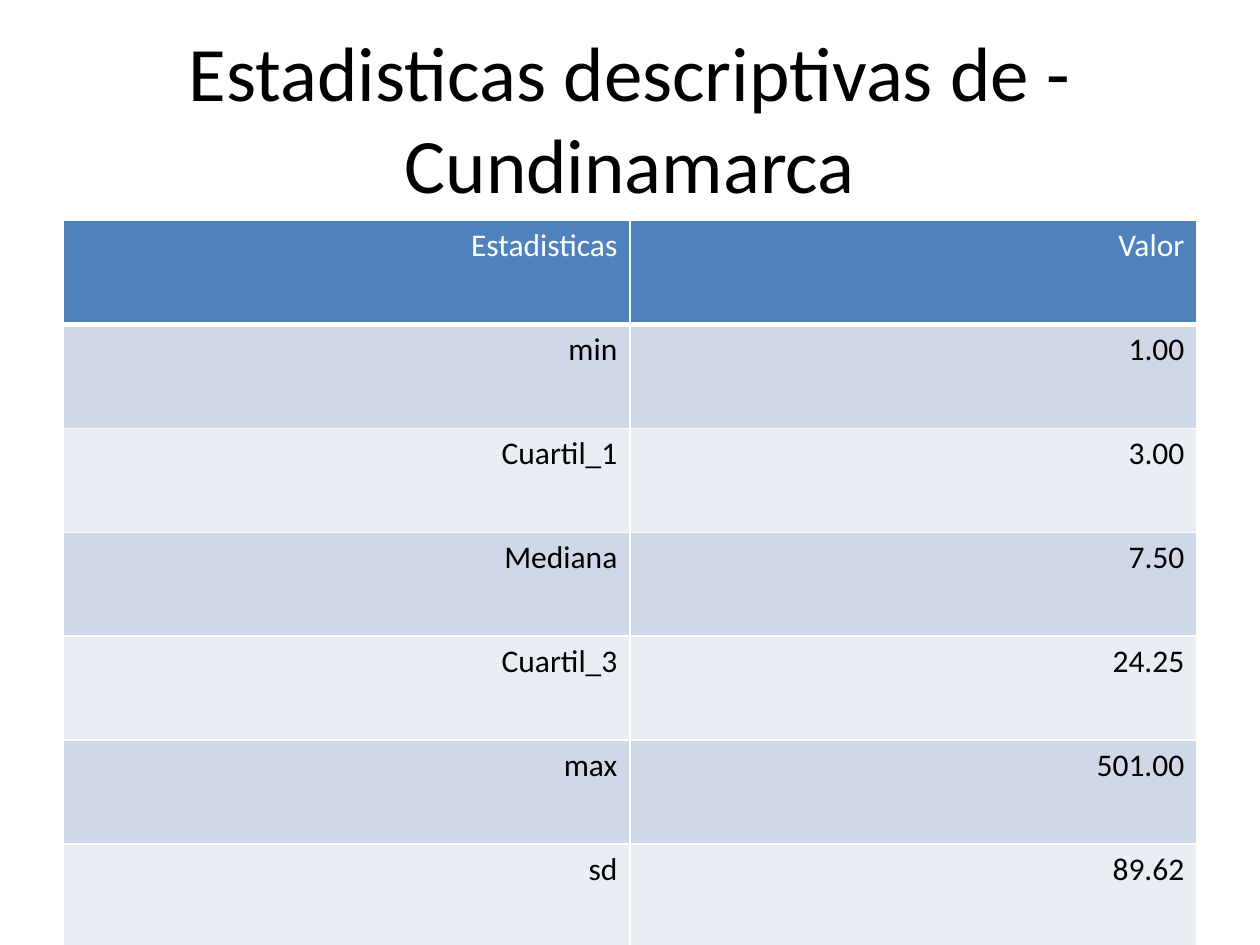
from dataclasses import dataclass

from lxml import etree
from pptx import Presentation
from pptx import util as u
from pptx.dml.color import RGBColor
from pptx.enum import text
from pptx.oxml.ns import qn


@dataclass(frozen=True)
class Theme:
    font: str = "Calibri"
    title_size: int = 44
    body_size: int = 18
    dark: str = "000000"
    light: str = "FFFFFF"
    header: str = "4F81BD"
    bands: tuple = ("D0D8E8", "E9EDF4")
    rule: int = 1
    header_rule: int = 3


def write(frame, words, *, font, size, color, align):
    """Put one formatted paragraph into a text frame."""
    para = frame.paragraphs[0]
    para.alignment = align
    span = para.add_run()
    span.text = words
    span.font.name = font
    span.font.size = u.Pt(size)
    span.font.color.rgb = RGBColor.from_string(color)


def set_border(cell, side, width, color):
    """Add one cell border; borders must precede the fill."""
    line = etree.SubElement(cell._tc.get_or_add_tcPr(), qn(f"a:ln{side}"))
    line.set("w", str(u.Pt(width)))
    fill = etree.SubElement(line, qn("a:solidFill"))
    etree.SubElement(fill, qn("a:srgbClr")).set("val", color)


class SlideBuilder:
    def __init__(self, page, theme):
        self.page = page
        self.theme = theme

    def title(self, words, left, top, width, height):
        box = self.page.shapes.add_textbox(left, top, width, height)
        frame = box.text_frame
        frame.word_wrap = True
        frame.vertical_anchor = text.MSO_ANCHOR.MIDDLE
        write(frame, words, font=self.theme.font, size=self.theme.title_size,
              color=self.theme.dark, align=text.PP_ALIGN.CENTER)

    def table(self, rows, left, top, width, row_height):
        table = self.page.shapes.add_table(
            len(rows), len(rows[0]), left, top, width, row_height * len(rows)).table
        for row_index, values in enumerate(rows):
            table.rows[row_index].height = row_height
            for column, words in enumerate(values):
                self.cell(table.cell(row_index, column), words, row_index)

    def cell(self, cell, words, row_index):
        theme = self.theme
        is_header = row_index == 0
        for side in "LRTB":
            thick = is_header and side == "B"
            set_border(cell, side, theme.header_rule if thick else theme.rule, theme.light)
        cell.fill.solid()
        cell.fill.fore_color.rgb = RGBColor.from_string(
            theme.header if is_header else theme.bands[(row_index - 1) % 2])
        write(cell.text_frame, words, font=theme.font, size=theme.body_size,
              color=theme.light if is_header else theme.dark,
              align=text.PP_ALIGN.RIGHT)


STATISTICS = [
    ("Estadisticas", "Valor"),
    ("min", " 1.00"),
    ("Cuartil_1", " 3.00"),
    ("Mediana", " 7.50"),
    ("Cuartil_3", "24.25"),
    ("max", "501.00"),
    ("sd", "89.62"),
]


def main():
    deck = Presentation()
    deck.slide_width, deck.slide_height = u.Inches(10), u.Inches(7.5)
    page = deck.slides.add_slide(deck.slide_layouts[6])
    builder = SlideBuilder(page, Theme())

    # Title
    left, width = u.Inches(0.5), u.Inches(9)
    builder.title("Estadisticas descriptivas de - Cundinamarca",
                  left, u.Inches(0.3), width, u.Inches(1.25))

    # Statistics table: six rows share 4.95 inches, the seventh follows on
    builder.table(STATISTICS, left, u.Inches(1.75), width, u.Inches(4.95 / 6))

    deck.save("out.pptx")


if __name__ == "__main__":
    main()
